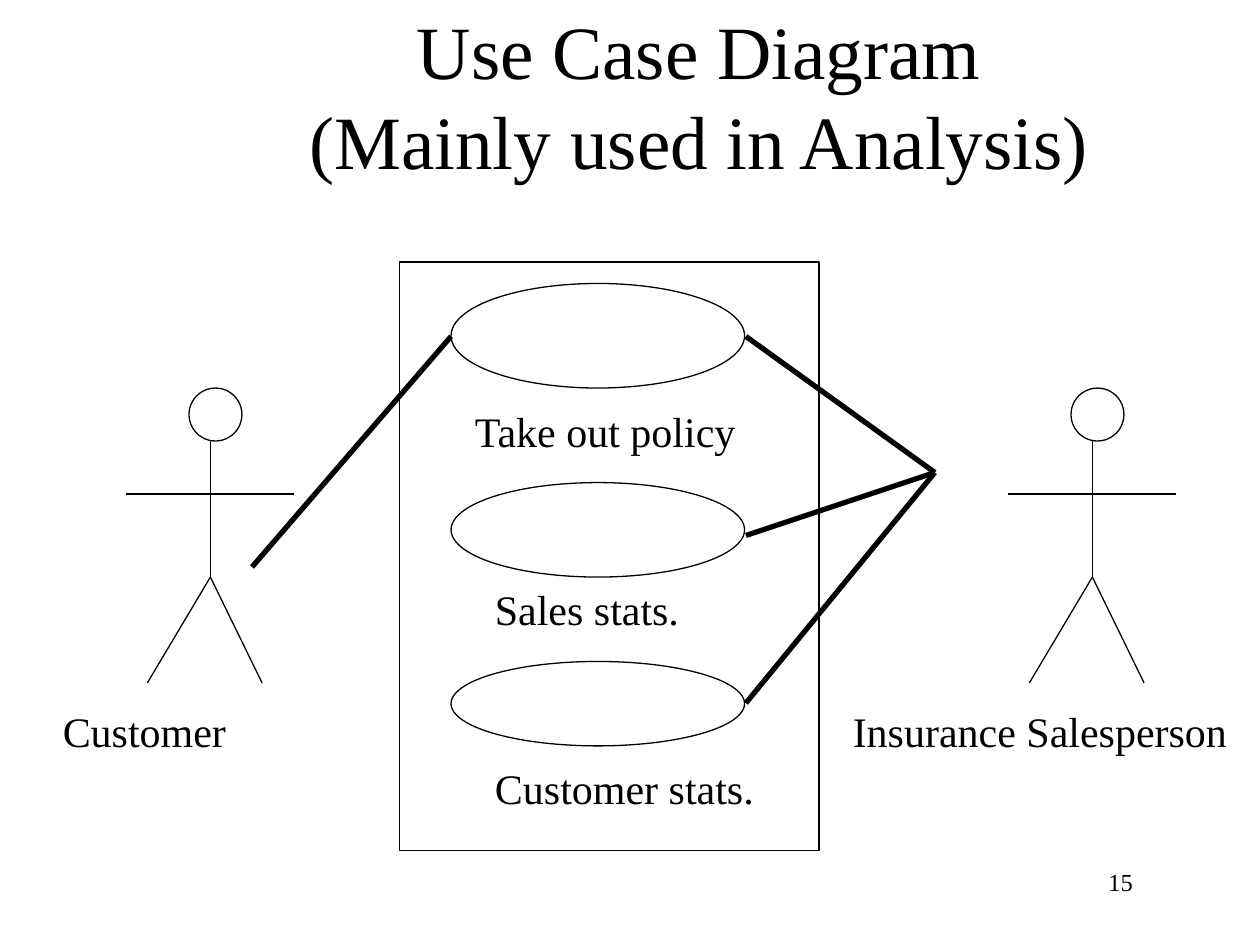
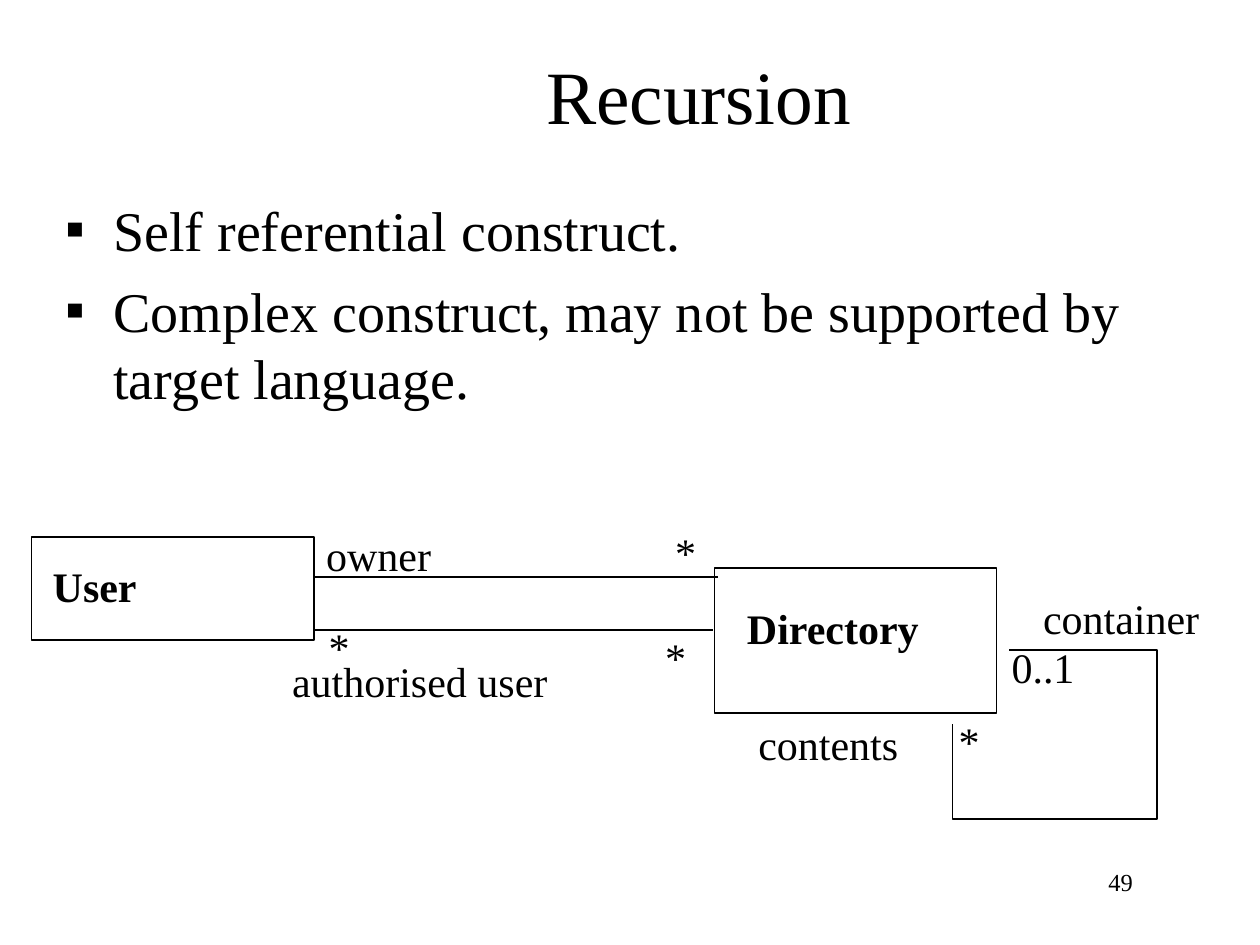
from dataclasses import dataclass

from lxml.etree import SubElement
from pptx import Presentation
from pptx.dml.color import RGBColor
from pptx.enum.shapes import MSO_CONNECTOR, MSO_SHAPE
from pptx.enum.text import MSO_ANCHOR, MSO_AUTO_SIZE, PP_ALIGN
from pptx.oxml.ns import qn
from pptx.util import Emu, Pt

PX = 9144


@dataclass(frozen=True)
class Theme:
    font: str = "Times New Roman"
    ink: RGBColor = RGBColor(0, 0, 0)
    paper: RGBColor = RGBColor(255, 255, 255)
    title_size: int = 43
    body_size: int = 32
    label_size: int = 24
    number_size: int = 14
    thin: float = 0.75
    medium: float = 1
    thick: float = 3


class Page:
    def __init__(self, deck, theme, title, number):
        self.theme = theme
        self.slide = deck.slides.add_slide(deck.slide_layouts[5])
        self.title(title)
        self.number(number)

    def place(self, *lengths):
        return [Emu(length * PX) for length in lengths]

    def style_text(self, frame, size, bold=False, align=PP_ALIGN.LEFT):
        for para in frame.paragraphs:
            para.alignment = align
            para.font.size = Pt(size)
            for span in para.runs:
                span.font.name = self.theme.font
                span.font.size = Pt(size)
                span.font.bold = bold
                span.font.color.rgb = self.theme.ink

    def title(self, text):
        box = self.slide.shapes.title
        box.left, box.top, box.width, box.height = self.place(142, 25, 825, 100)
        frame = box.text_frame
        frame.text = text
        frame.auto_size = MSO_AUTO_SIZE.NONE
        frame.vertical_anchor = MSO_ANCHOR.MIDDLE
        self.style_text(frame, self.theme.title_size, align=PP_ALIGN.CENTER)

    def text_box(self, left, top, width, height, text):
        box = self.slide.shapes.add_textbox(*self.place(left, top, width, height))
        box.text_frame.text = text
        box.text_frame.word_wrap = True
        return box.text_frame

    def number(self, text):
        frame = self.text_box(717, 683, 192, 52, text)
        self.style_text(frame, self.theme.number_size, align=PP_ALIGN.RIGHT)

    def label(self, left, top, width, text, bold=False):
        frame = self.text_box(left, top, width, 50, text)
        frame.word_wrap = False
        self.style_text(frame, self.theme.label_size, bold)

    def bullets(self, left, top, width, height, items):
        frame = self.text_box(left, top, width, height, "\n".join(items))
        for index, para in enumerate(frame.paragraphs):
            properties = para._p.get_or_add_pPr()
            properties.set("marL", str(38 * PX))
            properties.set("indent", str(-38 * PX))
            color = SubElement(properties, qn("a:buClr"))
            SubElement(color, qn("a:srgbClr"), val=str(self.theme.ink))
            SubElement(properties, qn("a:buFont"), typeface=self.theme.font)
            SubElement(properties, qn("a:buChar"), char="▪")
            para.space_before = Pt(8 if index else 0)
        self.style_text(frame, self.theme.body_size)

    def outline(self, shape, weight, filled=False):
        shape.shadow.inherit = False
        if filled:
            shape.fill.solid()
            shape.fill.fore_color.rgb = self.theme.paper
        else:
            shape.fill.background()
        shape.line.color.rgb = self.theme.ink
        shape.line.width = Pt(weight)

    def shape(self, kind, left, top, width, height, weight, filled=False):
        box = self.slide.shapes.add_shape(kind, *self.place(left, top, width, height))
        self.outline(box, weight, filled)

    def line(self, start, end, weight):
        connector = self.slide.shapes.add_connector(
            MSO_CONNECTOR.STRAIGHT, *self.place(*start, *end))
        connector.line.color.rgb = self.theme.ink
        connector.line.width = Pt(weight)
        SubElement(connector._element.spPr, qn("a:effectLst"))

    def loop(self, points, weight):
        builder = self.slide.shapes.build_freeform(*points[0], scale=PX)
        builder.add_line_segments(points[1:], close=False)
        self.outline(builder.convert_to_shape(), weight)

    def actor(self, left):
        thin = self.theme.thin
        spine = left + 67
        hip = (spine, 458)
        self.shape(MSO_SHAPE.OVAL, left + 50, 308, 42, 42, thin, True)
        self.line((spine, 350), hip, thin)
        self.line((left, 392), (left + 133, 392), thin)
        for foot in (left + 17, left + 108):
            self.line(hip, (foot, 542), thin)


def build_use_cases(deck, theme):
    page = Page(deck, theme, "Use Case Diagram\v(Mainly used in Analysis)", "15")
    for left in (100, 800):
        page.actor(left)
    page.shape(MSO_SHAPE.RECTANGLE, 317, 208, 333, 467, theme.thin, True)
    for top, height in ((225, 83), (383, 75), (525, 67)):
        page.shape(MSO_SHAPE.OVAL, 358, top, 233, height, theme.thin, True)
    page.line((200, 450), (358, 267), theme.thick)
    for height in (267, 425, 558):
        page.line((742, 375), (592, height), theme.thick)
    for label in (
        (667, 555, 320, "Insurance Salesperson"),
        (40, 555, 153, "Customer"),
        (367, 317, 232, "Take out policy"),
        (383, 458, 170, "Sales stats."),
        (383, 600, 229, "Customer stats."),
    ):
        page.label(*label)


def build_recursion(deck, theme):
    page = Page(deck, theme, "Recursion", "49")
    page.bullets(42, 150, 958, 230, [
        "Self referential construct.",
        "Complex construct, may not be supported by target language.",
    ])
    page.shape(MSO_SHAPE.RECTANGLE, 25, 426, 224, 82, theme.medium)
    page.label(32, 440, 90, "User", bold=True)
    page.shape(MSO_SHAPE.RECTANGLE, 567, 451, 224, 115, theme.medium)
    page.label(583, 473, 160, "Directory", bold=True)
    page.loop([(756, 575), (756, 650), (918, 650), (918, 516), (801, 516)],
              theme.medium)
    for end, height in ((570, 458), (566, 500)):
        page.line((250, height), (end, height), theme.medium)
    for label in (
        (818, 465, 147, "container"),
        (592, 565, 134, "contents"),
        (249, 415, 107, "owner"),
        (222, 515, 226, "authorised user"),
        (793, 504, 73, "0..1"),
    ):
        page.label(*label)
    for left, top in ((251, 488), (518, 496), (526, 413), (751, 563)):
        page.label(left, top, 38, "*")


def main():
    deck = Presentation()
    deck.slide_width, deck.slide_height = Emu(1000 * PX), Emu(750 * PX)
    theme = Theme()
    build_use_cases(deck, theme)
    build_recursion(deck, theme)
    deck.save("out.pptx")


if __name__ == "__main__":
    main()
